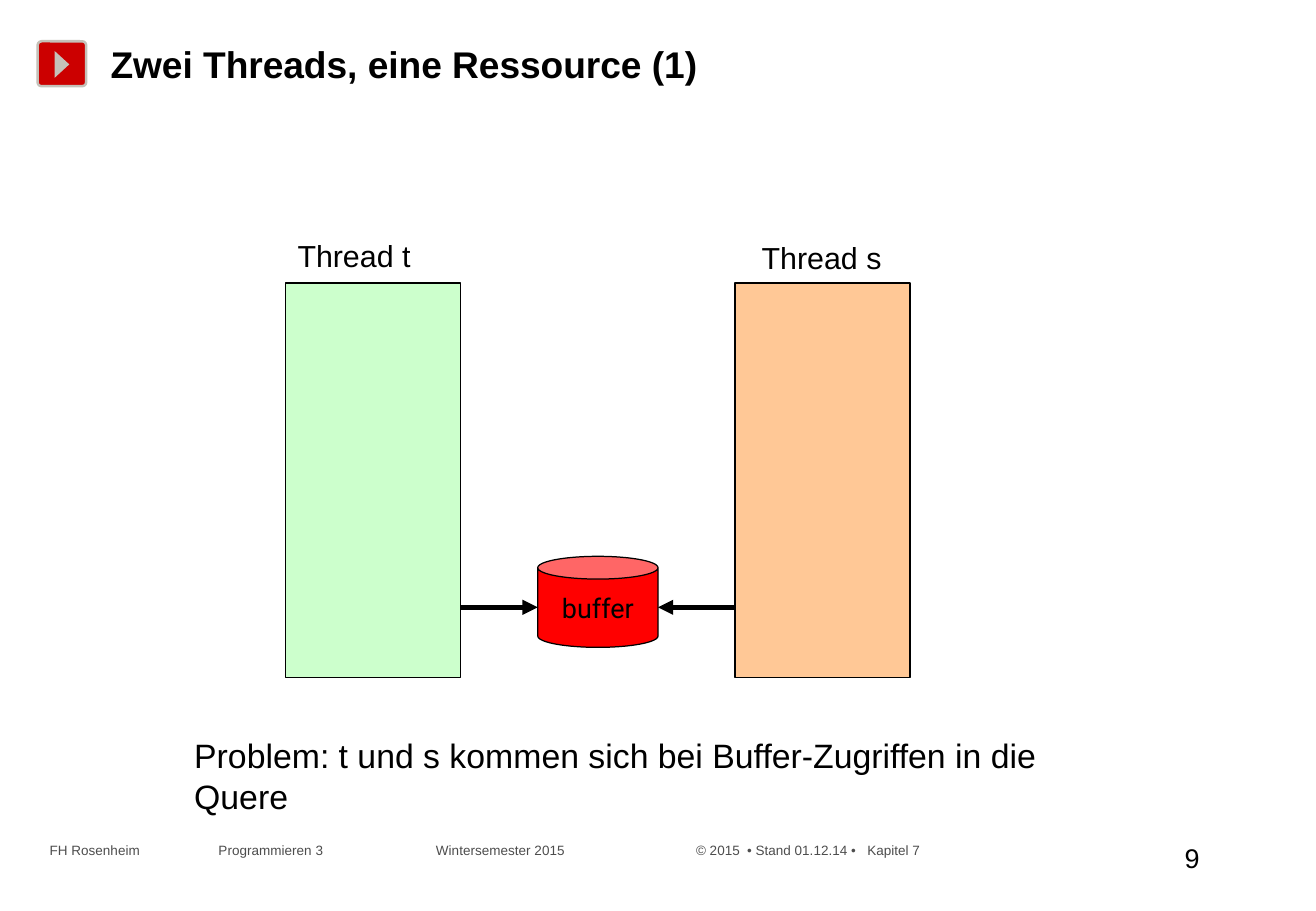
from lxml import etree
from pptx import Presentation
from pptx.dml import color
from pptx.enum import shapes, text
from pptx.oxml import ns
from pptx.util import Inches, Pt

BLACK = "000000"
FOOTER_TABS = (1.39, 3.18, 5.32, 5.74, 6.73)


def rgb(value):
    return color.RGBColor.from_string(value)


def inches(*lengths):
    return [Inches(length) for length in lengths]


def write(shape, words, size, font="Arial", shade=BLACK, bold=False, wrap=True):
    frame = shape.text_frame
    frame.word_wrap = wrap
    frame.text = words
    para = frame.paragraphs[0]
    para.font.name = font
    para.font.size = Pt(size)
    para.font.bold = bold
    para.font.color.rgb = rgb(shade)
    return para


def add_label(page, box, words, size, **style):
    return write(page.shapes.add_textbox(*inches(*box)), words, size, **style)


def paint(shape, fill, line=None, width=0.75):
    shape.shadow.inherit = False
    shape.fill.solid()
    shape.fill.fore_color.rgb = rgb(fill)
    if line:
        shape.line.color.rgb = rgb(line)
        shape.line.width = Pt(width)
    else:
        shape.line.fill.background()


def add_block(page, kind, box, fill, line=BLACK, width=0.75):
    shape = page.shapes.add_shape(kind, *inches(*box))
    paint(shape, fill, line, width)
    return shape


def add_arrow(page, start, end, y):
    arrow = page.shapes.add_connector(
        shapes.MSO_CONNECTOR.STRAIGHT, *inches(start, y, end, y))
    arrow.line.color.rgb = rgb(BLACK)
    arrow.line.width = Pt(3)
    outline = arrow.line._get_or_add_ln()
    etree.SubElement(outline, ns.qn("a:tailEnd"), type="triangle")
    etree.SubElement(arrow._element.spPr, ns.qn("a:effectLst"))


def add_header(page, box):
    left, top, width, height = box
    badge = add_block(page, shapes.MSO_SHAPE.ROUNDED_RECTANGLE,
                      (left, top + 0.05, 0.4, 0.37), "CC0000", "C5C1B9", 1.5)
    badge.adjustments[0] = 0.09
    builder = page.shapes.build_freeform(*inches(left + 0.14, top + 0.13))
    builder.add_line_segments([inches(left + 0.26, top + 0.24),
                               inches(left + 0.14, top + 0.35)])
    paint(builder.convert_to_shape(), "C5C1B9")
    title = page.shapes.title
    title.left, title.top, title.width, title.height = inches(
        left + 0.5, top, width - 0.5, height)
    title.text_frame.vertical_anchor = text.MSO_ANCHOR.MIDDLE
    para = write(title, "Zwei Threads, eine Ressource (1)", 22, bold=True)
    para.alignment = text.PP_ALIGN.LEFT


def add_diagram(page, box):
    left, top, width, height = box
    thread_width, buffer_width = 1.44, 0.99
    right = left + width
    threads = (
        ("Thread t", left, "CCFFCC", left, top - 0.43),
        ("Thread s", right - thread_width, "FFC896",
         right - thread_width + 0.12, top - 0.41),
    )
    for name, x, fill, label_left, label_top in threads:
        add_block(page, shapes.MSO_SHAPE.RECTANGLE,
                  (x, top, thread_width, height), fill)
        add_label(page, (label_left, label_top, 1.19, 0.4), name, 18, wrap=False)
    buffer_left = left + (width - buffer_width) / 2
    buffer = add_block(page, shapes.MSO_SHAPE.CAN,
                       (buffer_left, top + 2.25, buffer_width, 0.75), "FF0000")
    buffer.text_frame.vertical_anchor = text.MSO_ANCHOR.MIDDLE
    para = write(buffer, "buffer", 16, font="Roboto", wrap=False)
    para.alignment = text.PP_ALIGN.CENTER
    arrow_y = top + 2.67
    add_arrow(page, left + thread_width, buffer_left, arrow_y)
    add_arrow(page, right - thread_width, buffer_left + buffer_width, arrow_y)


def add_footer(page, box):
    left, top, width, height = box
    words = "\t".join(("FH Rosenheim", "Programmieren 3", "Wintersemester 2015",
                       "© 2015", "• Stand 01.12.14 •", "Kapitel 7"))
    para = add_label(page, (left, top, width, 0.24), words, 8, shade="4D4D4D")
    properties = para._p.get_or_add_pPr()
    stops = etree.Element(ns.qn("a:tabLst"))
    for stop in FOOTER_TABS:
        etree.SubElement(stops, ns.qn("a:tab"), pos=str(Inches(stop)), algn="l")
    properties.insert(0, stops)
    add_label(page, (left + 9.34, top, 0.94, height), "9", 16)


def main():
    deck = Presentation()
    deck.slide_width, deck.slide_height = inches(10.83, 7.5)
    page = deck.slides.add_slide(deck.slide_layouts.get_by_name("Title Only"))
    add_header(page, (0.31, 0.29, 8.26, 0.47))
    add_diagram(page, (2.35, 2.33, 5.14, 3.25))
    add_label(page, (1.5, 6, 7.9, 0.75),
              "Problem: t und s kommen sich bei Buffer-Zugriffen in die Quere", 20)
    add_footer(page, (0.31, 6.88, 10.27, 0.41))
    deck.save("out.pptx")


if __name__ == "__main__":
    main()
